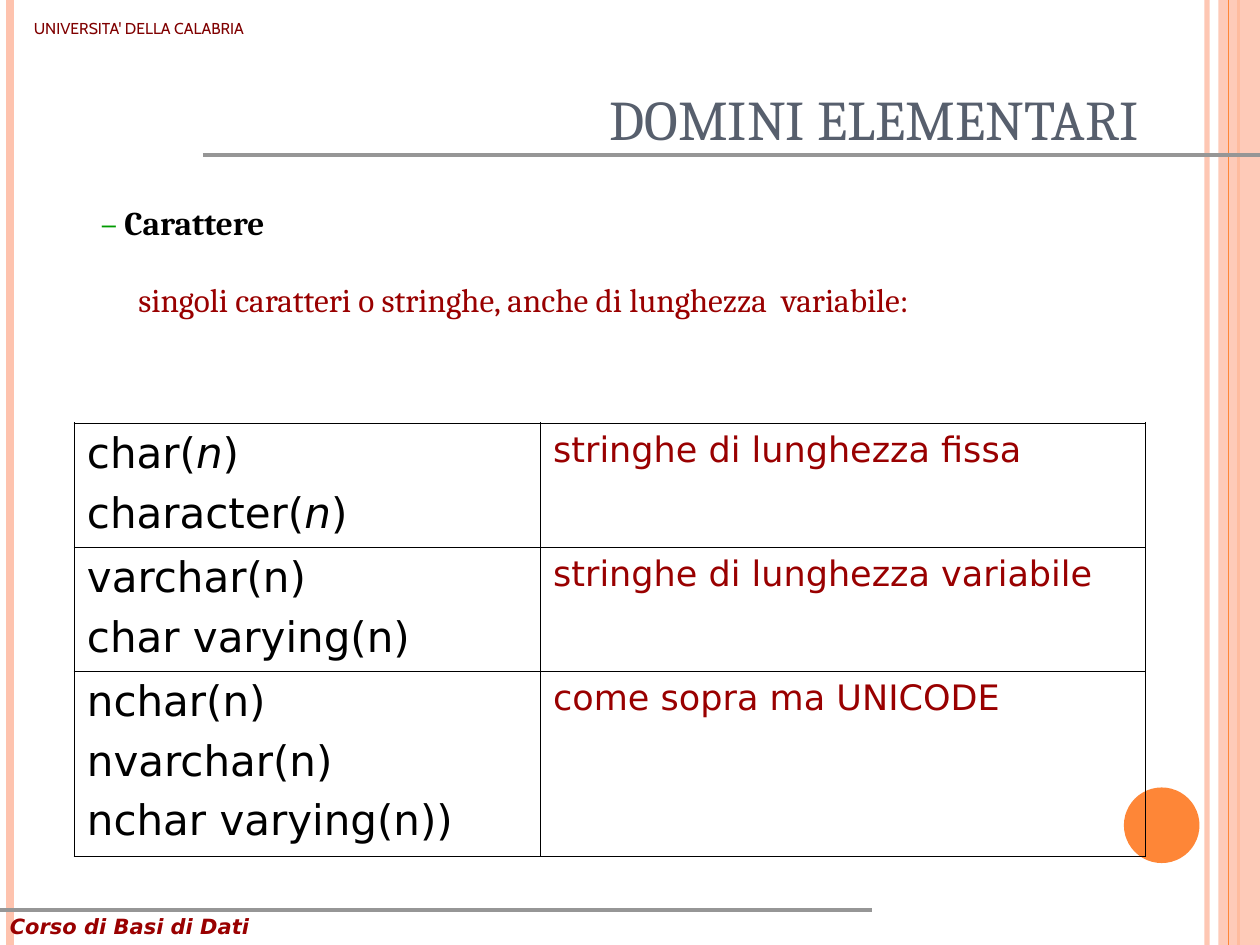
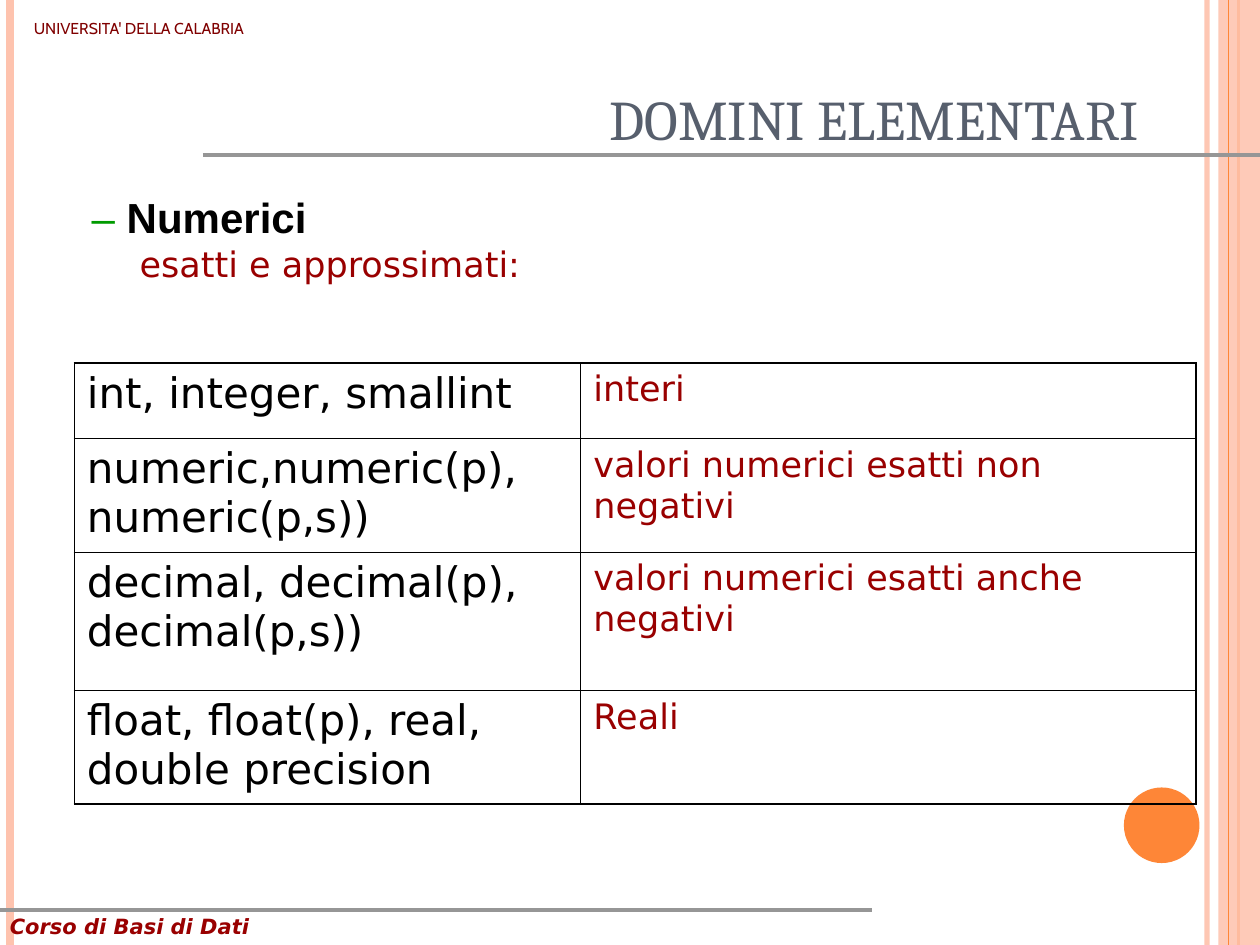
from lxml import etree
from pptx import Presentation
from pptx.dml.color import RGBColor
from pptx.enum.shapes import MSO_CONNECTOR, MSO_SHAPE
from pptx.enum.text import MSO_ANCHOR, PP_ALIGN
from pptx.oxml.ns import qn
from pptx.util import Inches, Pt

STRAIGHT = MSO_CONNECTOR.STRAIGHT
RECTANGLE, OVAL = MSO_SHAPE.RECTANGLE, MSO_SHAPE.OVAL
TOP, BOTTOM = MSO_ANCHOR.TOP, MSO_ANCHOR.BOTTOM
LEFT, RIGHT = PP_ALIGN.LEFT, PP_ALIGN.RIGHT

BLACK = RGBColor(0x00, 0x00, 0x00)
PEACH = RGBColor(0xFE, 0xC3, 0xAE)
ORANGE = RGBColor(0xFE, 0x86, 0x37)
GREY = RGBColor(0x96, 0x96, 0x96)
SLATE = RGBColor(0x57, 0x5F, 0x6D)
RED = RGBColor(0x99, 0x00, 0x00)
MAROON = RGBColor(0x80, 0x00, 0x00)
GREEN = RGBColor(0x00, 0x9B, 0x00)

SERIF, SANS, PLAIN, HEADER_FONT = "Cambria", "DejaVu Sans", "Arial", "Cabin"
WIDTH, HEIGHT = 10, 7.5
OUTER, INNER = 1.08, 0.45  # table border widths in points

# Content
UNIVERSITY = "UNIVERSITA' DELLA CALABRIA"
COURSE = "Corso di Basi di Dati"
TITLE = "DOMINI ELEMENTARI"
ITALIC_N = ("n", {"italic": True})

TOPICS = [
    {
        "heading": "Carattere",
        "heading_format": {"size": 19, "font": SERIF},
        "detail": "singoli caratteri o stringhe, anche di lunghezza  variabile:",
        "detail_format": {"size": 19, "font": SERIF, "before": 28, "margin": 0.3},
        "line_spacing": 0.7,
        "body_box": (0.7, 1.64, 9.53, 0.94),
        "table_at": (0.59, 3.36),
        "columns": (3.7, 4.8),
        "row_heights": (0.98, 0.98, 1.47),
        "heavy_rules": (0, 3),
        "types": [
            ([["char(", ITALIC_N, ")"], ["character(", ITALIC_N, ")"]],
             "stringhe di lunghezza fissa"),
            (["varchar(n)", "char varying(n)"],
             "stringhe di lunghezza variabile"),
            (["nchar(n)", "nvarchar(n)", "nchar varying(n))"],
             "come sopra ma UNICODE"),
        ],
    },
    {
        "heading": "Numerici",
        "heading_format": {"size": 24, "font": PLAIN},
        "detail": "esatti e approssimati:",
        "detail_format": {"size": 20, "font": SANS, "before": 5, "margin": 0.38},
        "line_spacing": 0.8,
        "body_box": (0.63, 1.55, 8.9, 1.2),
        "table_at": (0.59, 2.88),
        "columns": (4.02, 4.88),
        "row_heights": (0.6, 0.9, 1.1, 0.9),
        "heavy_rules": (0, 3, 4),
        "types": [
            (["int, integer, smallint"], "interi"),
            (["numeric,numeric(p), numeric(p,s))"],
             "valori numerici esatti non negativi"),
            (["decimal, decimal(p), decimal(p,s))"],
             "valori numerici esatti anche negativi"),
            (["float, float(p), real, double precision"], "Reali"),
        ],
    },
]

# Decoration: x, colour, width, opacity of the upright lines
LINES_BEHIND_BAND = [(9.58, PEACH, 3, 93), (0.08, PEACH, 4.5, 100),
                     (9.83, ORANGE, 1.5, 100)]
LINE_ON_BAND = (9.75, ORANGE, 0.75, 100)
RULES = [((1.61, 1.23), (WIDTH, 1.23)), ((0, 7.22), (6.92, 7.22))]


def write(frame, text, *, size, font=SANS, color=BLACK, bold=False, italic=False,
          align=LEFT, before=0, spacing=None, margin=0):
    """Add one paragraph; text is a string or a list of strings and (string, format)."""
    paragraph = frame.paragraphs[0] if not frame.text else frame.add_paragraph()
    paragraph.alignment = align
    paragraph.space_before = Pt(before)
    if spacing:
        paragraph.line_spacing = spacing
    if margin:
        paragraph._p.get_or_add_pPr().set("marL", str(Inches(margin)))
    for part in [text] if isinstance(text, str) else text:
        words, special = (part, {}) if isinstance(part, str) else part
        run = paragraph.add_run()
        run.text = words
        run.font.size = Pt(size)
        run.font.name = font
        run.font.bold = bold
        run.font.italic = special.get("italic", italic)
        run.font.color.rgb = special.get("color", color)


def add_box(slide, box, anchor=TOP):
    frame = slide.shapes.add_textbox(*map(Inches, box)).text_frame
    frame.word_wrap = True
    frame.vertical_anchor = anchor
    return frame


def set_opacity(element, percent):
    if percent < 100:
        color = element.find(".//" + qn("a:srgbClr"))
        etree.SubElement(color, qn("a:alpha"), val=str(percent * 1000))


def add_line(slide, start, end, color, width, opacity=100):
    line = slide.shapes.add_connector(STRAIGHT, *map(Inches, start + end))
    line.line.color.rgb = color
    line.line.width = Pt(width)
    properties = line._element.spPr
    set_opacity(properties, opacity)
    etree.SubElement(properties, qn("a:effectLst"))


def add_upright(slide, x, color, width, opacity):
    add_line(slide, (x, 0), (x, HEIGHT), color, width, opacity)


def add_filled(slide, kind, box, color, opacity=100):
    shape = slide.shapes.add_shape(kind, *map(Inches, box))
    shape.shadow.inherit = False
    shape.fill.solid()
    shape.fill.fore_color.rgb = color
    shape.line.fill.background()
    set_opacity(shape._element.spPr, opacity)


def set_borders(cell, left, right, top, bottom):
    properties = cell._tc.get_or_add_tcPr()
    for side, width in (("L", left), ("R", right), ("T", top), ("B", bottom)):
        border = etree.SubElement(properties, qn("a:ln" + side), w=str(Pt(width)))
        fill = etree.SubElement(border, qn("a:solidFill"))
        etree.SubElement(fill, qn("a:srgbClr"), val=str(BLACK))


def add_frame(slide):
    """Side bands, rules, header, footer and title."""
    for upright in LINES_BEHIND_BAND:
        add_upright(slide, *upright)
    add_filled(slide, RECTANGLE, (9.67, 0, 0.33, HEIGHT), PEACH, 87)
    add_upright(slide, *LINE_ON_BAND)
    add_filled(slide, OVAL, (8.92, 6.25, 0.6, 0.6), ORANGE)
    for start, end in RULES:
        add_line(slide, start, end, GREY, 2.25)
    write(add_box(slide, (-0.02, 7.2, 8.58, 0.3)), COURSE,
          size=12, color=RED, bold=True, italic=True)
    write(add_box(slide, (0.17, 0.1, 2.35, 0.4)), UNIVERSITY,
          size=9, font=HEADER_FONT, color=MAROON)
    write(add_box(slide, (2.34, 0, 6.8, 1.25), BOTTOM), TITLE,
          size=32, font=SERIF, color=SLATE, align=RIGHT)


def add_types_table(slide, topic):
    columns, heights = topic["columns"], topic["row_heights"]
    box = (*topic["table_at"], sum(columns), sum(heights))
    table = slide.shapes.add_table(len(heights), len(columns),
                                   *map(Inches, box)).table
    table.first_row = table.horz_banding = False
    for column, width in zip(table.columns, columns):
        column.width = Inches(width)
    rules = [OUTER if i in topic["heavy_rules"] else INNER
             for i in range(len(heights) + 1)]
    for i, (names, meaning) in enumerate(topic["types"]):
        table.rows[i].height = Inches(heights[i])
        name_cell, meaning_cell = table.cell(i, 0), table.cell(i, 1)
        for name in names:
            write(name_cell.text_frame, name, size=24, before=6)
        write(meaning_cell.text_frame, meaning, size=20, color=RED, before=5)
        set_borders(name_cell, OUTER, INNER, rules[i], rules[i + 1])
        set_borders(meaning_cell, INNER, OUTER, rules[i], rules[i + 1])
        for cell in (name_cell, meaning_cell):
            cell.fill.background()


def add_topic(slide, topic):
    add_frame(slide)
    body = add_box(slide, topic["body_box"])
    spacing = topic["line_spacing"]
    # The dash is green and regular, the heading bold
    write(body, [("– ", {"color": GREEN}), topic["heading"]], bold=True,
          before=6, spacing=spacing, **topic["heading_format"])
    body.paragraphs[0].runs[0].font.bold = False
    write(body, topic["detail"], color=RED, spacing=spacing,
          **topic["detail_format"])
    add_types_table(slide, topic)


def main():
    deck = Presentation()
    deck.slide_width, deck.slide_height = Inches(WIDTH), Inches(HEIGHT)
    for topic in TOPICS:
        add_topic(deck.slides.add_slide(deck.slide_layouts[6]), topic)
    deck.save("out.pptx")


if __name__ == "__main__":
    main()
